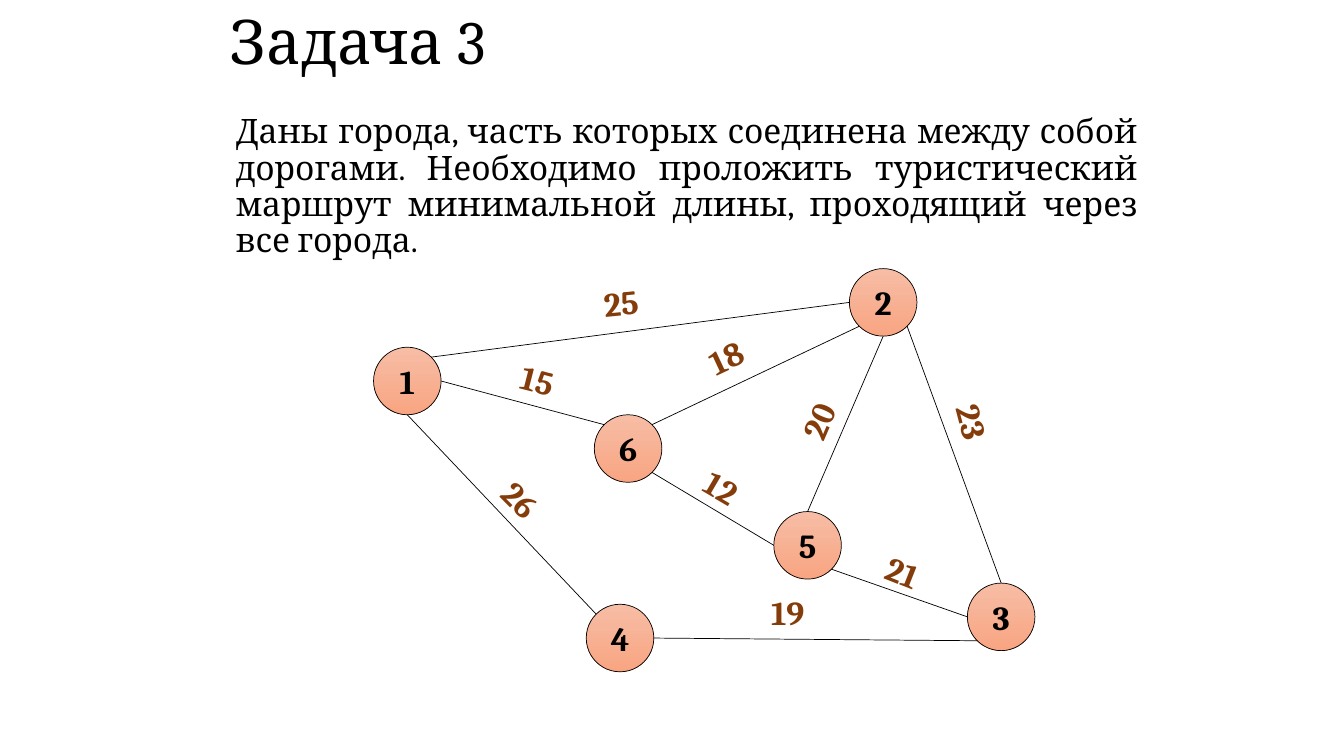
from dataclasses import dataclass
from math import cos, radians, sin

from lxml import etree
from pptx import Presentation
from pptx import util as u
from pptx.dml.color import RGBColor
from pptx.enum import shapes, text
from pptx.oxml.ns import qn


@dataclass(frozen=True)
class Theme:
    font: str = "Cambria"
    ink: str = "000000"
    weight: str = "843C0B"
    city_top: str = "F7BDA5"
    city_bottom: str = "F8A582"
    title_size: int = 44
    body_size: int = 24
    line_width: float = 0.5
    city_diameter: float = 0.67


TITLE = "Задача 3"
TASK = (
    "Даны города, часть которых соединена между собой дорогами. "
    "Необходимо проложить туристический маршрут минимальной длины, "
    "проходящий через все города."
)

CITIES = {
    "1": (4.04, 3.78),
    "6": (6.23, 4.45),
    "5": (8.01, 5.41),
    "2": (8.76, 3.0),
    "3": (9.93, 6.12),
    "4": (6.15, 6.33),
}

E, SE, S, SW, W, NW, N, NE = range(0, 360, 45)

ROADS = [
    ("1", NE, "2", W, "25", (6.19, 3.0), -5.6),
    ("6", NE, "2", SW, "18", (7.23, 3.53), -25.2),
    ("6", NW, "1", E, "15", (5.37, 3.78), 14.4),
    ("6", SE, "5", W, "12", (7.19, 4.86), 30.5),
    ("2", S, "5", N, "20", (8.13, 4.15), -66.7),
    ("2", SE, "3", N, "23", (9.65, 4.22), 75.3),
    ("5", SE, "3", W, "21", (8.99, 5.69), 21.6),
    ("4", E, "3", SW, "19", (7.85, 6.08), 0),
    ("1", S, "4", NW, "26", (5.18, 4.98), 45.2),
]


def write(tf, content, font, size, color, bold=False, align=None, spacing=None, before=None):
    p = tf.paragraphs[0]
    p.alignment = align
    p.line_spacing = spacing
    p.space_before = before
    r = p.add_run()
    r.text = content
    r.font.name = font
    r.font.size = u.Pt(size)
    r.font.bold = bold
    r.font.color.rgb = RGBColor.from_string(color)


class SlideBuilder:
    def __init__(self, slide, theme):
        self.slide = slide
        self.theme = theme

    def outline(self, line):
        line.color.rgb = RGBColor.from_string(self.theme.ink)
        line.width = u.Pt(self.theme.line_width)

    def text_box(self, content, left, top, width, height, anchor=text.MSO_ANCHOR.TOP, **style):
        sp = self.slide.shapes.add_textbox(*map(u.Inches, (left, top, width, height)))
        tf = sp.text_frame
        tf.word_wrap = True
        tf.vertical_anchor = anchor
        write(tf, content, self.theme.font, color=self.theme.ink, **style)

    def city(self, name, x, y):
        d = self.theme.city_diameter
        sp = self.slide.shapes.add_shape(
            shapes.MSO_SHAPE.OVAL, *map(u.Inches, (x - d / 2, y - d / 2, d, d))
        )
        sp.shadow.inherit = False
        sp.fill.gradient()
        sp.fill.gradient_angle = 270
        colors = (self.theme.city_top, self.theme.city_bottom)
        for position, (stop, color) in enumerate(zip(sp.fill.gradient_stops, colors)):
            stop.position = position
            stop.color.rgb = RGBColor.from_string(color)
        self.outline(sp.line)
        tf = sp.text_frame
        tf.vertical_anchor = text.MSO_ANCHOR.MIDDLE
        write(tf, name, self.theme.font, self.theme.body_size, self.theme.ink,
              bold=True, align=text.PP_ALIGN.CENTER)

    def rim(self, city, angle):
        x, y = CITIES[city]
        radius = self.theme.city_diameter / 2
        return (u.Inches(x + radius * cos(radians(angle))),
                u.Inches(y + radius * sin(radians(angle))))

    def road(self, start, start_angle, end, end_angle):
        line = self.slide.shapes.add_connector(
            shapes.MSO_CONNECTOR.STRAIGHT,
            *self.rim(start, start_angle), *self.rim(end, end_angle)
        )
        self.outline(line.line)
        etree.SubElement(line._element.spPr, qn("a:effectLst"))

    def distance(self, value, x, y, rotation):
        width, height = 0.6, 0.51
        sp = self.slide.shapes.add_textbox(
            *map(u.Inches, (x - width / 2, y - height / 2, width, height))
        )
        sp.rotation = rotation
        tf = sp.text_frame
        tf.word_wrap = False
        tf.auto_size = text.MSO_AUTO_SIZE.SHAPE_TO_FIT_TEXT
        write(tf, value, self.theme.font, self.theme.body_size, self.theme.weight, bold=True)


def main():
    prs = Presentation()
    prs.slide_width, prs.slide_height = u.Inches(13.33), u.Inches(7.5)
    theme = Theme()
    s = SlideBuilder(prs.slides.add_slide(prs.slide_layouts[6]), theme)

    s.text_box(TITLE, 2.18, 0.05, 9, 0.79, anchor=text.MSO_ANCHOR.MIDDLE,
               size=theme.title_size, spacing=0.9)
    s.text_box(TASK, 2.24, 1.09, 9.14, 2.05, size=theme.body_size,
               align=text.PP_ALIGN.JUSTIFY, spacing=0.9, before=u.Pt(10))

    for name, center in CITIES.items():
        s.city(name, *center)
    for start, start_angle, end, end_angle, value, center, rotation in ROADS:
        s.road(start, start_angle, end, end_angle)
        s.distance(value, *center, rotation)

    prs.save("out.pptx")


if __name__ == "__main__":
    main()
